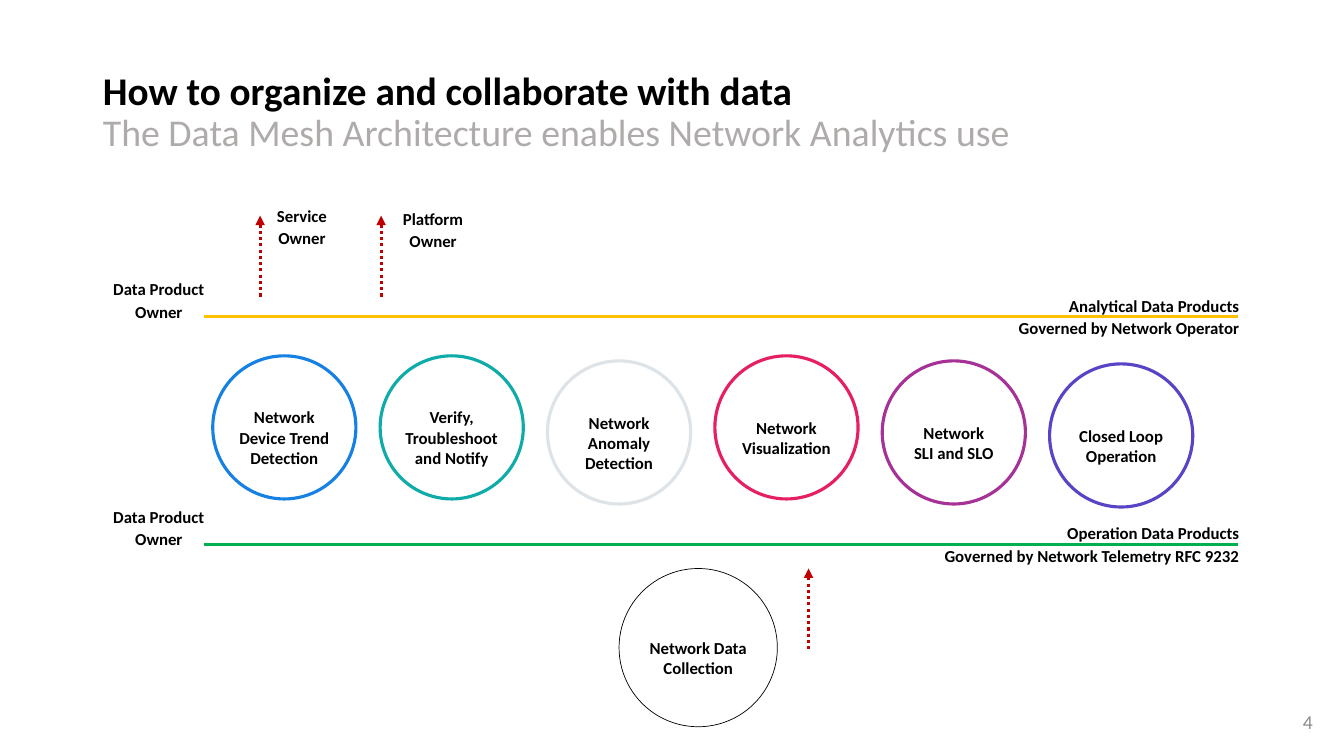
from lxml import etree
from pptx import Presentation
from pptx.dml.color import RGBColor
from pptx.enum.dml import MSO_LINE
from pptx.enum.shapes import MSO_CONNECTOR, MSO_SHAPE
from pptx.enum.text import MSO_ANCHOR, PP_ALIGN
from pptx.oxml.ns import qn
from pptx.util import Inches, Pt

LEFT, CENTER, RIGHT = PP_ALIGN.LEFT, PP_ALIGN.CENTER, PP_ALIGN.RIGHT
MIDDLE = MSO_ANCHOR.MIDDLE
OVAL = MSO_SHAPE.OVAL
STRAIGHT = MSO_CONNECTOR.STRAIGHT
DOTTED = MSO_LINE.ROUND_DOT

COLORS = {
    "black": "000000", "white": "FFFFFF", "subtitle": "AFABAB", "number": "8C8C8C",
    "arrow": "C00000", "operation": "00B050", "analytical": "FFC000",
    "blue": "1781E3", "teal": "0EABA9", "silver": "DDE3E7",
    "pink": "E61E64", "purple": "A63297", "indigo": "5944C6",
}
LABEL = {"name": "Calibri", "size": Pt(12), "bold": True}


def write(box, lines, align, spacing=1.0, styles=(LABEL,), colors=("black",)):
    frame = box.text_frame
    frame.word_wrap = True
    frame.vertical_anchor = MIDDLE
    frame.text = lines
    for index, para in enumerate(frame.paragraphs):
        para.alignment = align
        para.line_spacing = spacing
        para.space_before = Pt(0)
        span = para.runs[0]
        for name, value in styles[index % len(styles)].items():
            setattr(span.font, name, value)
        span.font.color.rgb = RGBColor.from_string(COLORS[colors[index % len(colors)]])


def draw_line(start, end, color):
    line = page.shapes.add_connector(STRAIGHT, *[Inches(value) for value in start + end])
    line.line.color.rgb = RGBColor.from_string(COLORS[color])
    line.line.width = Pt(2.25)
    etree.SubElement(line._element.spPr, qn("a:effectLst"))
    return line


deck = Presentation()
deck.slide_width, deck.slide_height = Inches(13.33), Inches(7.5)
page = deck.slides.add_slide(deck.slide_layouts[5])

title = page.shapes.title
title.left, title.top = Inches(0.92), Inches(0.4)
title.width, title.height = Inches(11.5), Inches(1.45)
write(
    title,
    "How to organize and collaborate with data\n"
    "The Data Mesh Architecture enables Network Analytics use",
    LEFT,
    0.9,
    ({"name": "Calibri", "size": Pt(28), "bold": True},
     {"name": "Calibri", "size": Pt(27), "bold": False}),
    ("black", "subtitle"),
)

products = [
    ("Network Device Trend Detection", 3.53, "blue"),
    ("Verify, Troubleshoot and Notify", 3.53, "teal"),
    ("Network Anomaly Detection", 3.58, "silver"),
    ("Network Visualization", 3.53, "pink"),
    ("Network\nSLI and SLO", 3.58, "purple"),
    ("Closed Loop Operation", 3.61, "indigo"),
]
circles = [("Network Data Collection", 6.14, 5.64, 1.57, "black", 0.5)]
for index, (name, top, color) in enumerate(products):
    circles.append((name, 2.11 + 1.66 * index, top, 1.42, color, 2.25))

for name, left, top, size, color, weight in circles:
    circle = page.shapes.add_shape(OVAL, Inches(left), Inches(top), Inches(size), Inches(size))
    circle.shadow.inherit = False
    circle.fill.solid()
    circle.fill.fore_color.rgb = RGBColor.from_string(COLORS["white"])
    circle.line.color.rgb = RGBColor.from_string(COLORS[color])
    circle.line.width = Pt(weight)
    frame = circle.text_frame
    frame.margin_left = frame.margin_right = frame.margin_bottom = 0
    frame.margin_top = Inches(0.2)
    write(circle, name, CENTER)

for top, color in [(3.14, "analytical"), (5.4, "operation")]:
    draw_line((2.02, top), (12.28, top), color)

for left, top in [(2.58, 2.14), (3.78, 2.14), (8.02, 5.64)]:
    arrow = draw_line((left, top), (left, top + 0.83), "arrow")
    arrow.line.dash_style = DOTTED
    outline = arrow._element.spPr.find(qn("a:ln"))
    etree.SubElement(outline, qn("a:headEnd"), type="triangle")

labels = [
    ("Service\nOwner", 2.6, 2.09, 0.79, CENTER),
    ("Platform\nOwner", 3.82, 2.12, 0.95, CENTER),
    ("Data Product Owner", 0.92, 2.82, 1.31, CENTER),
    ("Data Product Owner", 0.92, 5.08, 1.31, CENTER),
    ("Analytical Data Products\nGoverned by Network Operator", 8.6, 2.98, 3.79, RIGHT),
    ("Operation Data Products\nGoverned by Network Telemetry RFC 9232", 8.6, 5.24, 3.79, RIGHT),
]
for words, left, top, width, align in labels:
    label = page.shapes.add_textbox(Inches(left), Inches(top), Inches(width), Inches(0.3))
    write(label, words, align, 1.1)

number = page.shapes.add_textbox(Inches(12.67), Inches(6.96), Inches(0.45), Inches(0.4))
write(number, "4", RIGHT, styles=({"name": "Calibri", "size": Pt(14)},), colors=("number",))

deck.save("out.pptx")
